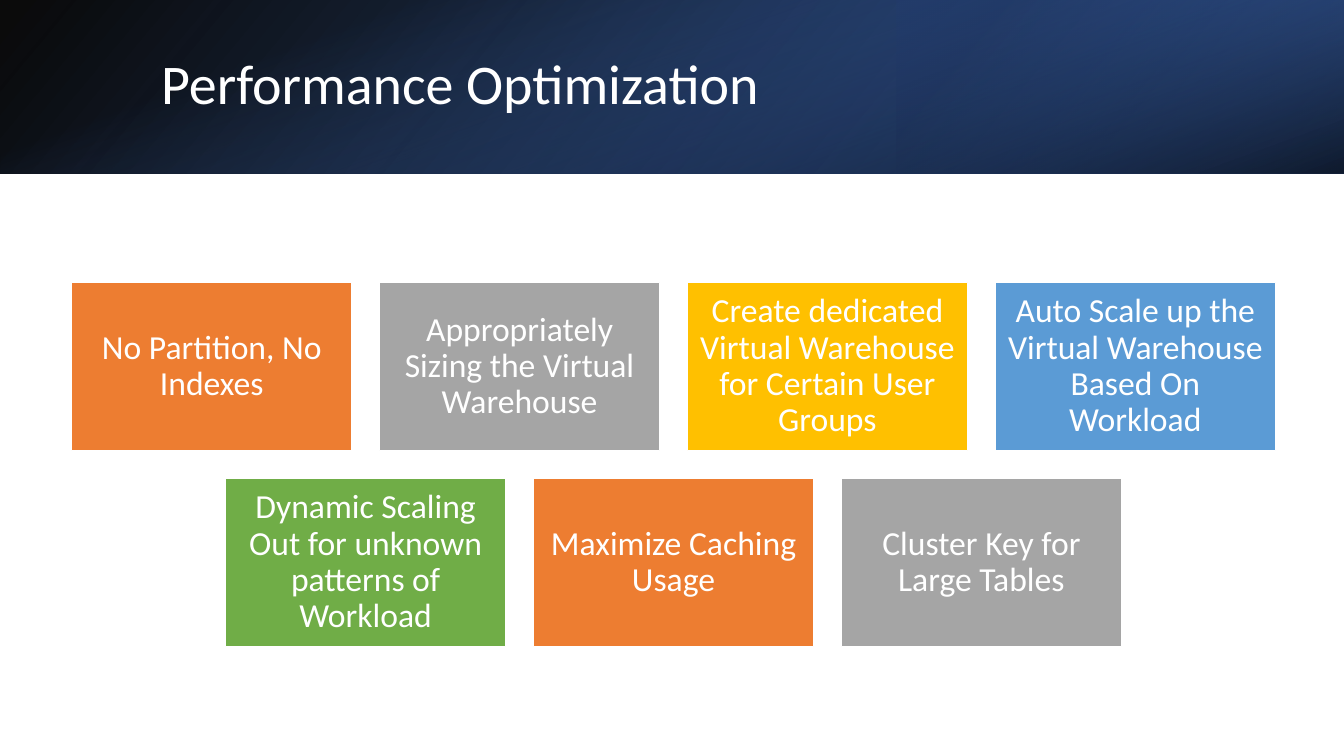
from dataclasses import dataclass

from lxml import etree
from pptx import Presentation
from pptx.dml.color import RGBColor
from pptx.enum import shapes, text
from pptx.oxml import ns
from pptx.util import Inches, Pt

COLORS = {
    "white": "FFFFFF", "black": "000000",
    "navy": "203864", "deep": "2F5597", "royal": "4472C4",
    "orange": "ED7D31", "gray": "A5A5A5", "gold": "FFC000",
    "blue": "5B9BD5", "green": "70AD47",
}
FONT = "Calibri"
SLIDE_W, SLIDE_H = 13.33, 7.5
BAND_H = 1.72
CARD_W, CARD_H = 2.78, 1.67
GRID_LEFT, GRID_TOP, GRID_W = 0.71, 2.8, 11.94


@dataclass
class Stop:
    position: int
    color: str
    opacity: int


@dataclass
class BandLayer:
    box: tuple[float, float, float, float]
    angle: int
    stops: tuple[Stop, ...]
    rotation: int = 0
    flipped: bool = False


@dataclass
class Card:
    label: str
    color: str


BAND_LAYERS = [
    BandLayer((0, 0, SLIDE_W, BAND_H), 140,
              (Stop(0, "black", 96), Stop(100, "deep", 100)), flipped=True),
    BandLayer((8.89, 0, 4.44, BAND_H), 320,
              (Stop(19, "navy", 68), Stop(100, "royal", 79)), 180, True),
    BandLayer(((SLIDE_W - BAND_H) / 2, (BAND_H - SLIDE_W) / 2, BAND_H, SLIDE_W), 340,
              (Stop(23, "royal", 0), Stop(99, "black", 74)), 90),
]

CARD_ROWS = [
    [
        Card("No Partition, No Indexes", "orange"),
        Card("Appropriately Sizing the Virtual Warehouse", "gray"),
        Card("Create dedicated Virtual Warehouse for Certain User Groups", "gold"),
        Card("Auto Scale up the Virtual Warehouse Based On Workload", "blue"),
    ],
    [
        Card("Dynamic Scaling Out for unknown patterns of Workload", "green"),
        Card("Maximize Caching Usage", "orange"),
        Card("Cluster Key for Large Tables", "gray"),
    ],
]


def rgb(name: str) -> RGBColor:
    return RGBColor.from_string(COLORS[name])


def add_rect(slide, left: float, top: float, width: float, height: float):
    sp = slide.shapes.add_shape(shapes.MSO_SHAPE.RECTANGLE, Inches(left),
                                Inches(top), Inches(width), Inches(height))
    sp.shadow.inherit = False
    return sp


def write_text(sp, words: str, *, size: float, align=text.PP_ALIGN.LEFT,
               color: str = "white", inset: float | None = None) -> None:
    tf = sp.text_frame
    tf.word_wrap = True
    tf.vertical_anchor = text.MSO_ANCHOR.MIDDLE
    if inset is not None:
        tf.margin_left = tf.margin_right = Inches(inset)
        tf.margin_top = tf.margin_bottom = Inches(inset)
    p = tf.paragraphs[0]
    p.alignment = align
    p.line_spacing = 0.9
    r = p.add_run()
    r.text = words
    r.font.name = FONT
    r.font.size = Pt(size)
    r.font.color.rgb = rgb(color)


def set_gradient(sp, stops: tuple[Stop, ...], angle: int) -> None:
    """Fill with a linear gradient whose stops may be transparent."""
    grad = etree.Element(ns.qn("a:gradFill"), rotWithShape="1")
    stop_list = etree.SubElement(grad, ns.qn("a:gsLst"))
    for stop in stops:
        gs = etree.SubElement(stop_list, ns.qn("a:gs"), pos=str(stop.position * 1000))
        clr = etree.SubElement(gs, ns.qn("a:srgbClr"), val=COLORS[stop.color])
        etree.SubElement(clr, ns.qn("a:alpha"), val=str(stop.opacity * 1000))
    etree.SubElement(grad, ns.qn("a:lin"), ang=str(angle * 60000), scaled="0")
    sp._element.spPr.find(ns.qn("a:prstGeom")).addnext(grad)


def add_band_layer(slide, layer: BandLayer) -> None:
    sp = add_rect(slide, *layer.box)
    sp.line.fill.background()
    sp.rotation = layer.rotation
    if layer.flipped:
        sp._element.spPr.find(ns.qn("a:xfrm")).set("flipH", "1")
    set_gradient(sp, layer.stops, layer.angle)


def add_card(slide, card: Card, left: float, top: float) -> None:
    sp = add_rect(slide, left, top, CARD_W, CARD_H)
    sp.fill.solid()
    sp.fill.fore_color.rgb = rgb(card.color)
    sp.line.color.rgb = rgb("white")
    sp.line.width = Pt(1)
    write_text(sp, card.label, size=24, align=text.PP_ALIGN.CENTER, inset=0.1)


def add_card_grid(slide, rows: list[list[Card]]) -> None:
    """Place each row centred, with the gap that makes the first row fill the grid."""
    columns = len(rows[0])
    gap = (GRID_W - columns * CARD_W) / (columns - 1)
    for i, row in enumerate(rows):
        indent = (columns - len(row)) * (CARD_W + gap) / 2
        for j, card in enumerate(row):
            add_card(slide, card, GRID_LEFT + indent + j * (CARD_W + gap),
                     GRID_TOP + i * (CARD_H + gap))


def main() -> None:
    prs = Presentation()
    prs.slide_width, prs.slide_height = Inches(SLIDE_W), Inches(SLIDE_H)
    slide = prs.slides.add_slide(prs.slide_layouts[6])
    for layer in BAND_LAYERS:
        add_band_layer(slide, layer)
    title = slide.shapes.add_textbox(Inches(1.5), Inches(0.38), Inches(10.98), Inches(0.96))
    write_text(title, "Performance Optimization", size=40)
    add_card_grid(slide, CARD_ROWS)
    prs.save("out.pptx")


if __name__ == "__main__":
    main()
